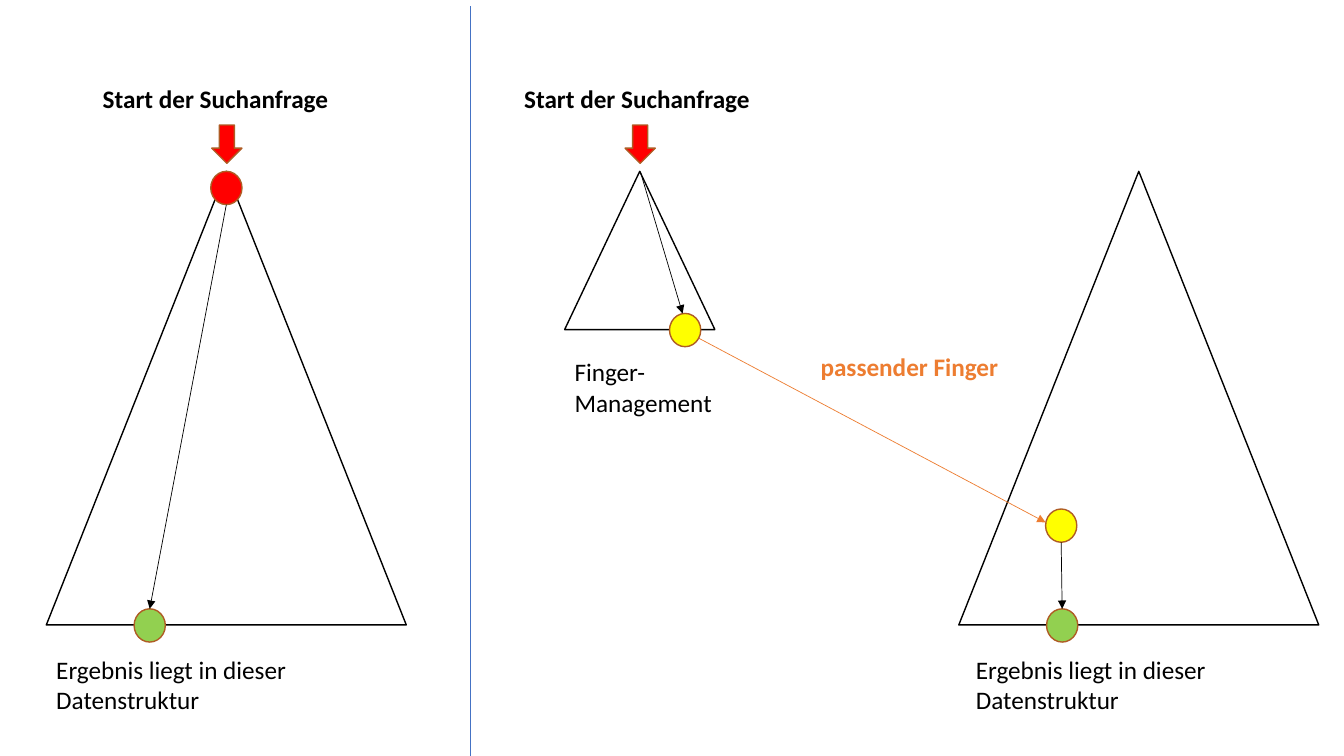
from pptx import Presentation
from pptx.dml.color import RGBColor
from pptx.enum.shapes import MSO_CONNECTOR, MSO_SHAPE
from pptx.enum.text import MSO_AUTO_SIZE
from pptx.oxml.ns import qn
from pptx.util import Inches, Pt
from lxml import etree

BLACK = RGBColor(0x00, 0x00, 0x00)
WHITE = RGBColor(0xFF, 0xFF, 0xFF)
RED = RGBColor(0xFF, 0x00, 0x00)
YELLOW = RGBColor(0xFF, 0xFF, 0x00)
GREEN = RGBColor(0x92, 0xD0, 0x50)
ORANGE = RGBColor(0xED, 0x7D, 0x31)
BROWN = RGBColor(0xAF, 0x5C, 0x24)
BLUE = RGBColor(0x44, 0x72, 0xC4)

# Content: search trees and start arrows hang from one common height
TREE_TOP = 1.7
TREES = [  # left, width, height
    (0.46, 3.57, 4.5),
    (5.6, 1.49, 1.57),
    (9.51, 3.57, 4.5),
]
NODE_W, NODE_H = 0.31, 0.33
NODES = {  # left, top, fill
    "root": (2.09, 1.7, RED),
    "result": (1.33, 6.04, GREEN),
    "finger": (6.64, 3.11, YELLOW),
    "target": (10.37, 5.05, YELLOW),
    "finger result": (10.38, 6.04, GREEN),
}
START_W, START_H, START_TOP = 0.3, 0.38, 1.24
START_CENTERS = [2.25, 6.35]
START = "Start der Suchanfrage"
RESULT = "Ergebnis liegt in dieser Datenstruktur"
LABELS = [  # text, left, top, width, height, colour, bold, wrap
    (START, 0.92, 0.78, 2.65, 0.4, BLACK, True, True),
    (START, 5.1, 0.78, 2.65, 0.4, BLACK, True, True),
    ("Finger- Management", 5.6, 3.49, 1.64, 0.71, BLACK, False, True),
    ("passender Finger", 8.04, 3.44, 1.98, 0.4, ORANGE, True, False),
    (RESULT, 0.46, 6.44, 3.8, 0.71, BLACK, False, True),
    (RESULT, 9.58, 6.44, 3.8, 0.71, BLACK, False, True),
]

prs = Presentation()
prs.slide_width, prs.slide_height = Inches(13.33), Inches(7.5)
s = prs.slides.add_slide(prs.slide_layouts[6])


def add_shape(kind, left, top, width, height, fill, line):
    sp = s.shapes.add_shape(kind, Inches(left), Inches(top), Inches(width), Inches(height))
    sp.shadow.inherit = False
    sp.fill.solid()
    sp.fill.fore_color.rgb = fill
    sp.line.color.rgb = line
    sp.line.width = Pt(1)


def add_line(start, end, color, arrow=True):
    c = s.shapes.add_connector(MSO_CONNECTOR.STRAIGHT, *map(Inches, start + end))
    c.line.color.rgb = color
    c.line.width = Pt(0.5)
    props = c._element.spPr
    if arrow:
        etree.SubElement(props.find(qn("a:ln")), qn("a:tailEnd"), type="triangle")
    etree.SubElement(props, qn("a:effectLst"))


def node_point(name, across, down):
    left, top, _ = NODES[name]
    return left + across * NODE_W, top + down * NODE_H


# Trees
for left, width, height in TREES:
    add_shape(MSO_SHAPE.ISOSCELES_TRIANGLE, left, TREE_TOP, width, height, WHITE, BLACK)

# Finger pointer, partly covered by its starting node
add_line((6.77, 3.27), node_point("target", 0, 0.4), ORANGE)

# Nodes
for left, top, fill in NODES.values():
    add_shape(MSO_SHAPE.OVAL, left, top, NODE_W, NODE_H, fill, BROWN)

# Search paths
add_line(node_point("root", 0.5, 1), node_point("result", 0.5, 0), BLACK)
add_line((START_CENTERS[1], TREE_TOP), node_point("finger", 0.42, 0), BLACK)
add_line(node_point("target", 0.5, 1), node_point("finger result", 0.5, 0), BLACK)

# Start arrows and divider
for center in START_CENTERS:
    add_shape(MSO_SHAPE.DOWN_ARROW, center - START_W / 2, START_TOP,
              START_W, START_H, RED, BROWN)
add_line((4.67, 0.06), (4.67, 7.5), BLUE, arrow=False)

# Labels
for text, left, top, width, height, color, bold, wrap in LABELS:
    tb = s.shapes.add_textbox(Inches(left), Inches(top), Inches(width), Inches(height))
    tf = tb.text_frame
    tf.word_wrap = wrap
    tf.auto_size = MSO_AUTO_SIZE.SHAPE_TO_FIT_TEXT
    r = tf.paragraphs[0].add_run()
    r.text = text
    r.font.name = "Calibri"
    r.font.size = Pt(18)
    r.font.bold = bold
    r.font.color.rgb = color

prs.save("out.pptx")
